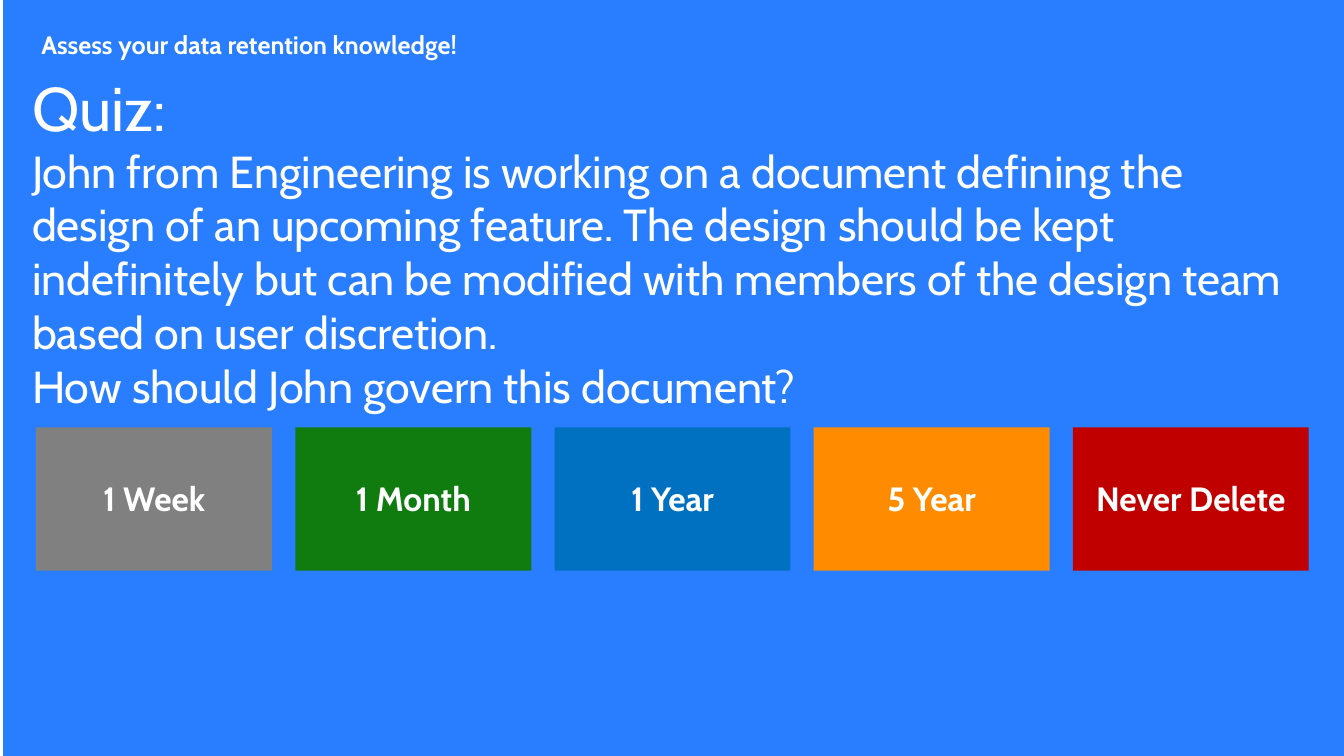
import pptx
import pptx.util
import pptx.dml.color
import pptx.enum.shapes
import pptx.enum.text

Inches = pptx.util.Inches
Align = pptx.enum.text.PP_ALIGN
Anchor = pptx.enum.text.MSO_ANCHOR

COLORS = {
    "background": "287EFF",
    "text": "FFFFFF",
    "week": "808080",
    "month": "107C10",
    "year": "0070C0",
    "five_years": "FF8C00",
    "never": "C00000",
}


class QuizSlide:
    """Holds the style and the current slide."""

    font_name = "Cabin"

    def __init__(self, page):
        self.page = page

    def color(self, name):
        return pptx.dml.color.RGBColor.from_string(COLORS[name])

    def rectangle(self, left, top, width, height, fill):
        box = self.page.shapes.add_shape(
            pptx.enum.shapes.MSO_SHAPE.RECTANGLE,
            Inches(left), Inches(top), Inches(width), Inches(height))
        box.shadow.inherit = False
        box.fill.solid()
        box.fill.fore_color.rgb = self.color(fill)
        box.line.fill.background()
        return box

    def set_text(self, box, lines, insets, bold=False, align=Align.LEFT,
                 anchor=Anchor.TOP, spacing=1.0, after=0):
        """Fill a box with paragraphs given as (text, size) pairs."""
        frame = box.text_frame
        frame.word_wrap = True
        frame.vertical_anchor = anchor
        (frame.margin_left, frame.margin_top,
         frame.margin_right, frame.margin_bottom) = map(Inches, insets)
        for index, (text, size) in enumerate(lines):
            para = frame.add_paragraph() if index else frame.paragraphs[0]
            para.text = text
            para.alignment = align
            para.line_spacing = spacing
            para.space_after = pptx.util.Pt(after)
            para.font.name = self.font_name
            para.font.size = pptx.util.Pt(size)
            para.font.bold = bold
            para.font.color.rgb = self.color("text")

    def text_box(self, left, top, width, height, lines, insets, **style):
        box = self.page.shapes.add_textbox(
            Inches(left), Inches(top), Inches(width), Inches(height))
        self.set_text(box, lines, insets, **style)
        box.text_frame.auto_size = pptx.enum.text.MSO_AUTO_SIZE.SHAPE_TO_FIT_TEXT

    def answer(self, left, top, width, height, label, fill):
        box = self.rectangle(left, top, width, height, fill)
        self.set_text(box, [(label, 24)], (0.2, 0.2, 0.2, 0.16), bold=True,
                      align=Align.CENTER, anchor=Anchor.MIDDLE, spacing=0.9)


deck = pptx.Presentation()
deck.slide_width = Inches(13.33)
deck.slide_height = Inches(7.5)
quiz = QuizSlide(deck.slides.add_slide(deck.slide_layouts[6]))

# Background panel
quiz.rectangle(0.03, 0, 13.35, 7.5, "background")

# Row of answers at an equal pitch
ANSWERS = [
    ("1 Week", "week"),
    ("1 Month", "month"),
    ("1 Year", "year"),
    ("5 Year", "five_years"),
    ("Never Delete", "never"),
]
FIRST_LEFT, PITCH = 0.36, 2.57
for column, (label, fill) in enumerate(ANSWERS):
    quiz.answer(FIRST_LEFT + column * PITCH, 4.24, 2.34, 1.42, label, fill)

# Heading
quiz.text_box(0.21, 0.19, 5.91, 0.6,
              [("Assess your data retention knowledge!", 18)],
              (0.2, 0.16, 0.2, 0.16), bold=True, spacing=0.9, after=6)

# Question
quiz.text_box(0.22, 0.64, 12.89, 4.21, [
    ("Quiz:", 44),
    ("John from Engineering is working on a document defining the design of "
     "an upcoming feature. The design should be kept indefinitely but can be "
     "modified with members of the design team based on user discretion.", 32),
    ("How should John govern this document?", 32),
], (0.1, 0.05, 0.1, 0.05))

deck.save("out.pptx")
